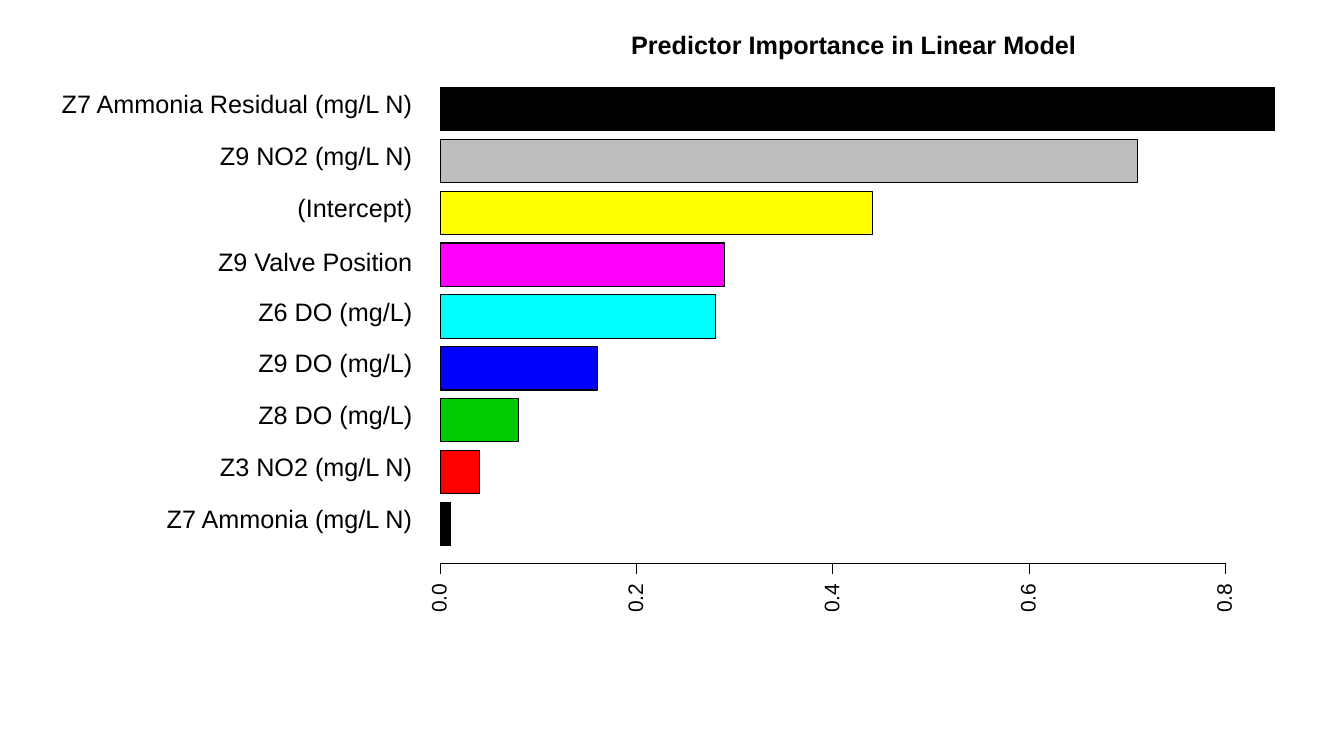
import pptx
import pptx.util
import pptx.dml.color
import pptx.enum.shapes
import pptx.enum.text
import pptx.oxml.ns
import lxml.etree

Pt = pptx.util.Pt
ALIGN = pptx.enum.text.PP_ALIGN


def color(code):
    return pptx.dml.color.RGBColor.from_string(code)


class Chart:
    """Holds the style and the slide; all lengths are points."""
    font = "Arial"
    ink = "000000"
    stroke = 0.75

    def __init__(self, slide):
        self.slide = slide

    def bar(self, x, y, w, h, fill):
        kind = pptx.enum.shapes.MSO_SHAPE.RECTANGLE
        box = self.slide.shapes.add_shape(kind, Pt(x), Pt(y), Pt(w), Pt(h))
        box.shadow.inherit = False
        box.fill.solid()
        box.fill.fore_color.rgb = color(fill)
        box.line.color.rgb = color(self.ink)
        box.line.width = Pt(self.stroke)

    def line(self, x1, y1, x2, y2):
        kind = pptx.enum.shapes.MSO_CONNECTOR.STRAIGHT
        rule = self.slide.shapes.add_connector(kind, Pt(x1), Pt(y1), Pt(x2), Pt(y2))
        rule.line.color.rgb = color(self.ink)
        rule.line.width = Pt(self.stroke)
        lxml.etree.SubElement(rule._element.spPr, pptx.oxml.ns.qn("a:effectLst"))

    def text(self, x, y, w, h, words, size=18, bold=False, align=ALIGN.CENTER, turn=0):
        box = self.slide.shapes.add_textbox(Pt(x), Pt(y), Pt(w), Pt(h))
        box.rotation = turn
        frame = box.text_frame
        frame.word_wrap = False
        frame.vertical_anchor = pptx.enum.text.MSO_ANCHOR.MIDDLE
        frame.margin_left = frame.margin_right = 0
        frame.margin_top = frame.margin_bottom = 0
        para = frame.paragraphs[0]
        para.alignment = align
        para.line_spacing = Pt(size)
        run = para.add_run()
        run.text = words
        run.font.name = self.font
        run.font.size = Pt(size)
        run.font.bold = bold
        run.font.color.rgb = color(self.ink)


# Label, label width, label drop, value, fill
ROWS = [
    ("Z7 Ammonia Residual (mg/L N)", 252, 0, 0.85, "000000"),
    ("Z9 NO2 (mg/L N)", 138, 0, 0.71, "BEBEBE"),
    ("(Intercept)", 82, 0, 0.44, "FFFF00"),
    ("Z9 Valve Position", 140, 1.6, 0.29, "FF00FF"),
    ("Z6 DO (mg/L)", 110, 0, 0.28, "00FFFF"),
    ("Z9 DO (mg/L)", 110, 0, 0.16, "0000FF"),
    ("Z8 DO (mg/L)", 110, 0, 0.08, "00CD00"),
    ("Z3 NO2 (mg/L N)", 138, 0, 0.04, "FF0000"),
    ("Z7 Ammonia (mg/L N)", 177, 0, 0.01, "000000"),
]
LEFT, TOP, PITCH, THICK = 314.6, 62.6, 37, 31
UNIT = 701          # points per 1.0 of importance
EDGE = 294.5        # right edge of the labels
AXIS, TICK = 402.5, 7.2


def main():
    deck = pptx.Presentation()
    deck.slide_width, deck.slide_height = Pt(960), Pt(540)
    chart = Chart(deck.slides.add_slide(deck.slide_layouts[6]))

    # Title
    chart.text(450.7, 25.2, 318.2, 16.6, "Predictor Importance in Linear Model", bold=True)

    # Bars with their labels
    for row, (name, wide, drop, value, fill) in enumerate(ROWS):
        y = TOP + row * PITCH
        chart.bar(LEFT, y, value * UNIT, THICK, fill)
        chart.text(EDGE - wide, y + 5 + drop, wide, 16.6, name, align=ALIGN.RIGHT)

    # Value axis
    chart.line(LEFT, AXIS, LEFT + 0.8 * UNIT, AXIS)
    for step in range(5):
        value = step * 0.2
        x = LEFT + value * UNIT
        chart.line(x, AXIS, x, AXIS + TICK)
        chart.text(x - 10.5, 421.9, 21, 10.8, f"{value:.1f}", size=15, turn=270)

    deck.save("out.pptx")


if __name__ == "__main__":
    main()
